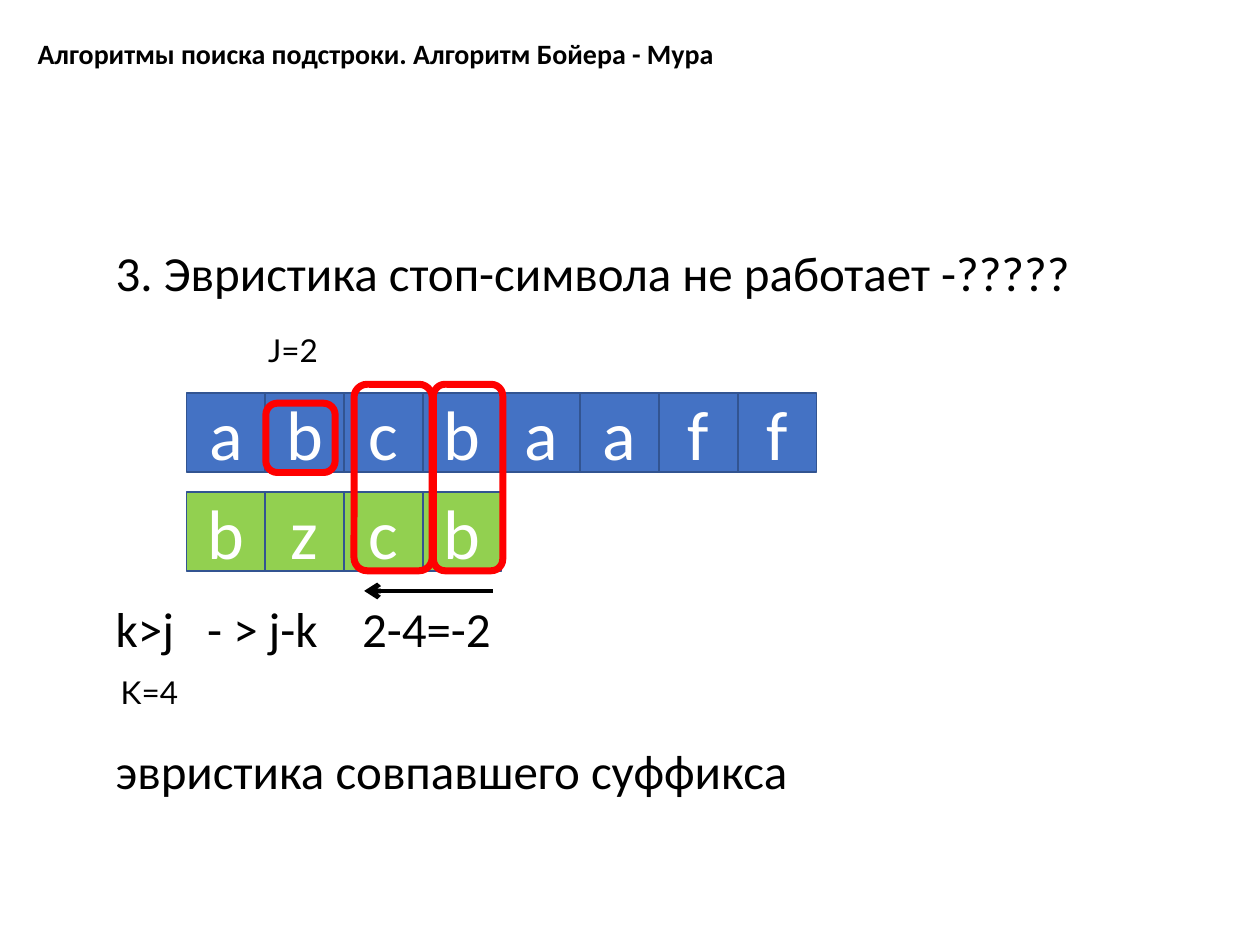
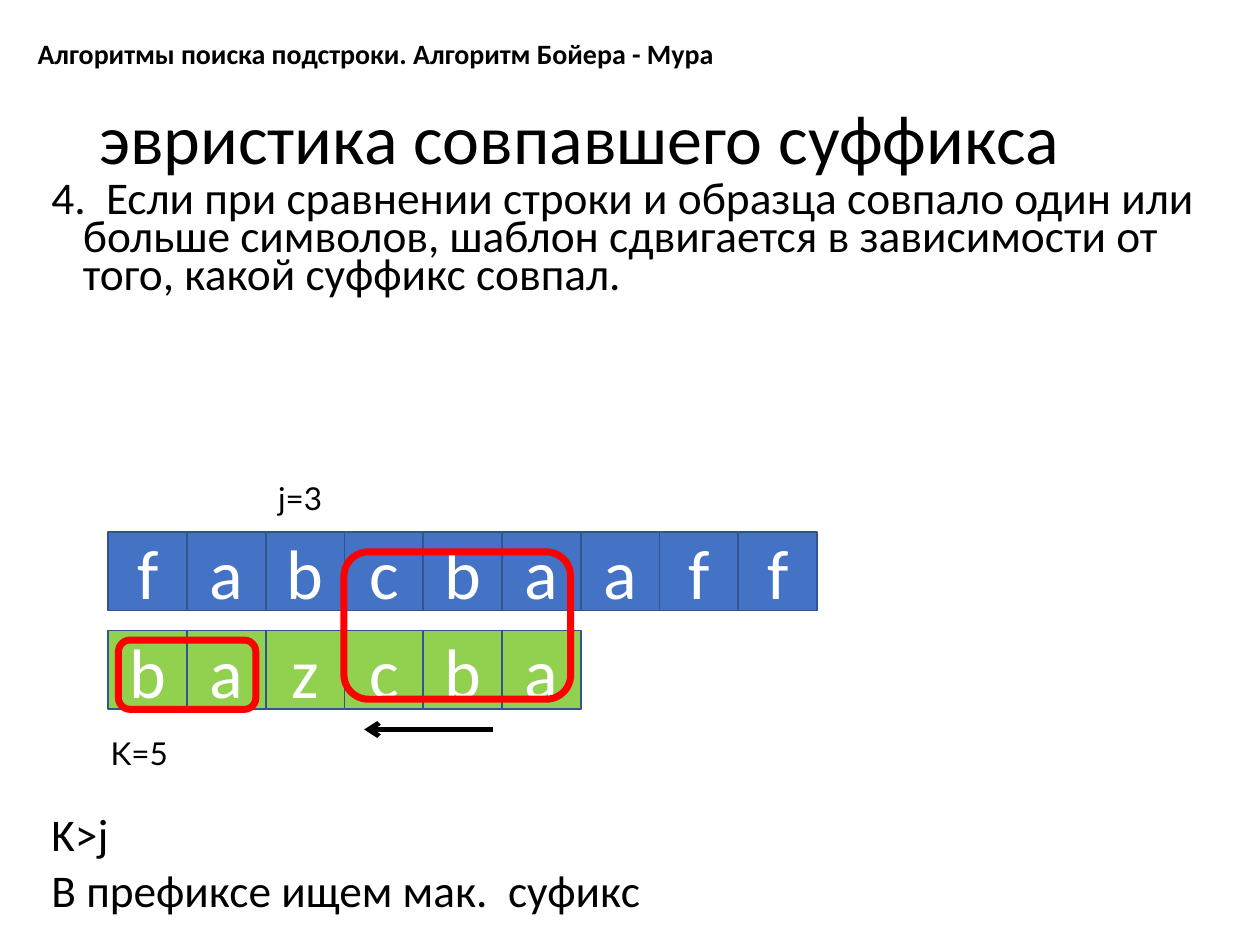
from lxml import etree
from pptx import Presentation
from pptx.dml.color import RGBColor
from pptx.enum import shapes, text
from pptx.oxml.ns import qn
from pptx.util import Inches, Pt

BLACK = RGBColor(0x00, 0x00, 0x00)
WHITE = RGBColor(0xFF, 0xFF, 0xFF)
STRING_BLUE = RGBColor(0x44, 0x72, 0xC4)
PATTERN_GREEN = RGBColor(0x92, 0xD0, 0x50)
CELL_LINE = RGBColor(0x32, 0x54, 0x91)
MARK_RED = RGBColor(0xFF, 0x00, 0x00)

BODY_FONT = "Calibri"
LABEL_FONT = "Lato"
CELL = 0.625
PATTERN_DROP = 0.785
ARROW_DROP = 1.57
ARROW_LENGTH = 1.02
HEADER = "Алгоритмы поиска подстроки. Алгоритм Бойера - Мура"


def write(para, content, size, color=BLACK, font=BODY_FONT, bold=False, **layout):
    """Fill a paragraph with one run and apply its paragraph settings."""
    span = para.add_run()
    span.text = content
    for name, value in {"name": font, "size": Pt(size), "bold": bold}.items():
        setattr(span.font, name, value)
    span.font.color.rgb = color
    for name, value in layout.items():
        setattr(para, name, value)


def add_text_box(page, left, top, width, height):
    box = page.shapes.add_textbox(*map(Inches, (left, top, width, height)))
    box.text_frame.word_wrap = True
    return box.text_frame


def add_header(page):
    frame = add_text_box(page, 0.2, 0.24, 9.6, 0.37)
    write(frame.paragraphs[0], HEADER, 16, bold=True)


def add_title(page, content):
    frame = add_text_box(page, 0.69, 0.4, 8.62, 1.45)
    frame.vertical_anchor = text.MSO_ANCHOR.MIDDLE
    write(frame.paragraphs[0], content, 40, line_spacing=0.9)


def add_body(page, box, size, line_spacing, lines):
    """Write (gap before in points, text) lines with a hanging indent."""
    frame = add_text_box(page, *box)
    for index, (gap, content) in enumerate(lines):
        para = frame.add_paragraph() if index else frame.paragraphs[0]
        write(para, content, size, line_spacing=line_spacing, space_before=Pt(gap))
        indent = para._p.get_or_add_pPr()
        indent.set("marL", str(Inches(0.25)))
        indent.set("indent", str(-Inches(0.25)))


def add_label(page, left, top, content):
    frame = add_text_box(page, left, top, 1.17, 0.4)
    write(frame.paragraphs[0], content, 18, font=LABEL_FONT)


def add_cells(page, left, top, letters, fill):
    for column, letter in enumerate(letters):
        cell = page.shapes.add_shape(
            shapes.MSO_SHAPE.RECTANGLE, Inches(left + column * CELL), Inches(top),
            Inches(CELL), Inches(CELL))
        cell.shadow.inherit = False
        cell.fill.solid()
        cell.fill.fore_color.rgb = fill
        cell.line.color.rgb = CELL_LINE
        cell.line.width = Pt(1)
        cell.text_frame.vertical_anchor = text.MSO_ANCHOR.MIDDLE
        write(cell.text_frame.paragraphs[0], letter, 40, WHITE,
              alignment=text.PP_ALIGN.CENTER)


def add_mark(page, left, top, width, height):
    mark = page.shapes.add_shape(
        shapes.MSO_SHAPE.ROUNDED_RECTANGLE, *map(Inches, (left, top, width, height)))
    mark.shadow.inherit = False
    mark.fill.background()
    mark.line.color.rgb = MARK_RED
    mark.line.width = Pt(4)


def add_left_arrow(page, right, top):
    arrow = page.shapes.add_connector(
        shapes.MSO_CONNECTOR.STRAIGHT,
        *map(Inches, (right, top, right - ARROW_LENGTH, top)))
    arrow.line.color.rgb = BLACK
    arrow.line.width = Pt(2.75)
    etree.SubElement(arrow.line._get_or_add_ln(), qn("a:tailEnd"), type="arrow")
    etree.SubElement(arrow._element.spPr, qn("a:effectLst"))


def add_comparison(page, left, top, string, pattern, arrow_right, marks):
    """Draw the string above the pattern; marks and arrow are offsets from left, top."""
    add_cells(page, left, top, string, STRING_BLUE)
    add_cells(page, left, top + PATTERN_DROP, pattern, PATTERN_GREEN)
    add_left_arrow(page, left + arrow_right, top + ARROW_DROP)
    for across, down, width, height in marks:
        add_mark(page, left + across, top + down, width, height)


def build_stop_symbol_slide(page):
    add_body(page, (0.82, 1.93, 9.1, 4.92), 28, 0.9, [
        (0, "3. Эвристика стоп-символа не работает -?????"),
        (173, "k>j   - > j-k    2-4=-2"),
        (51, "эвристика совпавшего суффикса"),
    ])
    add_comparison(page, 1.48, 3.12, "abсbaaff", "bzcb", 2.43, [
        (1.96, -0.07, 0.55, 1.48),
        (1.33, -0.07, 0.62, 1.48),
        (0.63, 0.08, 0.55, 0.55),
    ])
    add_label(page, 2.03, 2.58, "J=2")
    add_label(page, 0.86, 5.29, "K=4")
    add_header(page)


def build_suffix_slide(page):
    add_title(page, "эвристика совпавшего суффикса")
    add_body(page, (0.31, 1.41, 9.34, 6.05), 25.9, 0.7, [
        (0, "4.  Если при сравнении строки и образца совпало один или больше "
            "символов, шаблон сдвигается в зависимости от того, какой суффикс совпал."),
        (299, "K>j"),
        (10, "В префиксе ищем мак.  суфикс"),
    ])
    add_comparison(page, 0.86, 4.22, "fabсbaaff", "bazcba", 3.05, [
        (0.08, 0.86, 1.09, 0.55),
        (1.87, 0.16, 1.8, 1.17),
    ])
    add_label(page, 0.78, 5.78, "K=5")
    add_label(page, 2.11, 3.75, "j=3")
    add_header(page)


def main():
    deck = Presentation()
    deck.slide_width, deck.slide_height = Inches(10), Inches(7.5)
    for build in (build_stop_symbol_slide, build_suffix_slide):
        build(deck.slides.add_slide(deck.slide_layouts[6]))
    deck.save("out.pptx")


if __name__ == "__main__":
    main()
